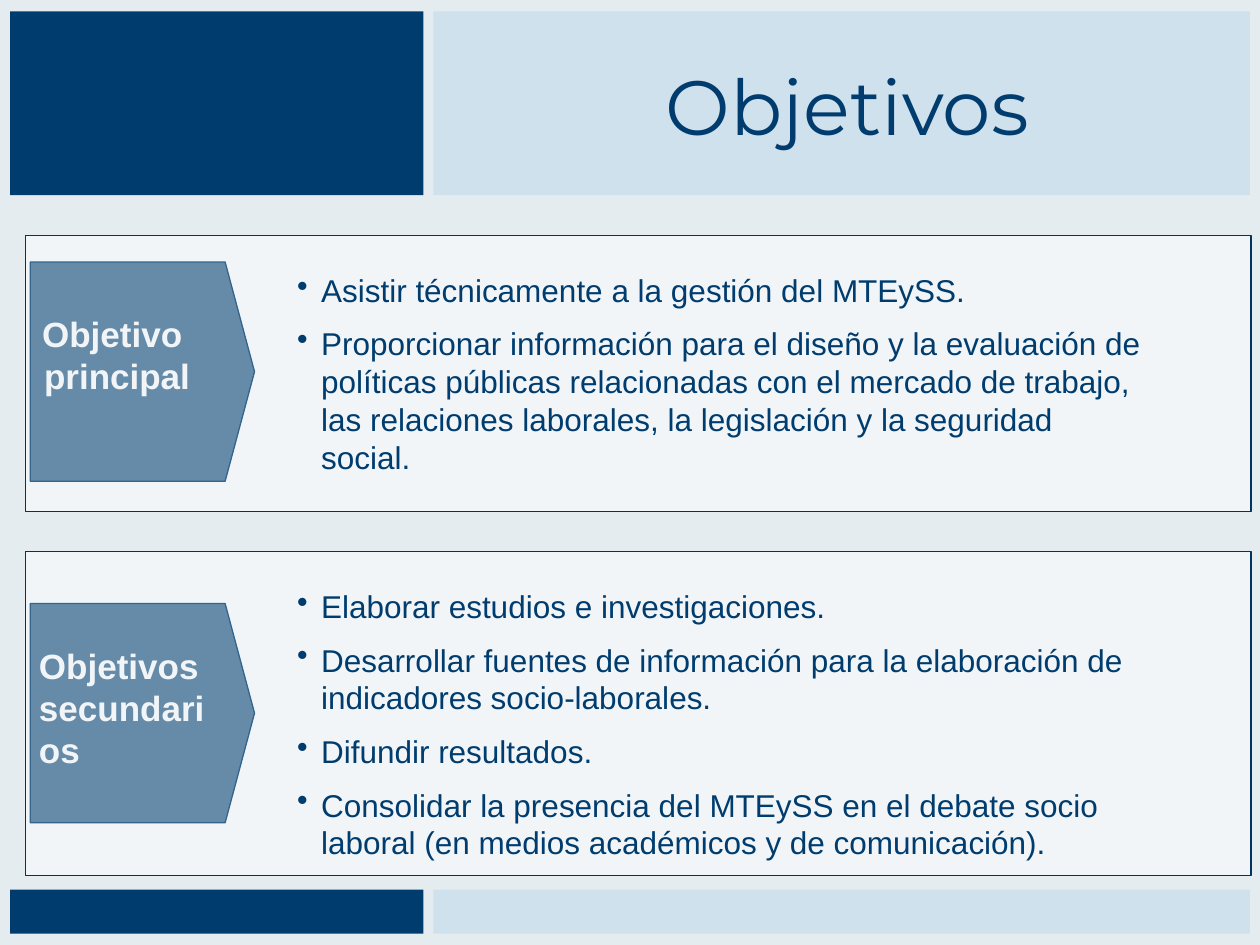
from dataclasses import dataclass

from lxml import etree
from pptx import Presentation
from pptx.dml.color import RGBColor
from pptx.enum.shapes import MSO_SHAPE
from pptx.enum.text import MSO_ANCHOR, MSO_AUTO_SIZE, PP_ALIGN
from pptx.oxml.ns import qn
from pptx.util import Inches, Pt

RECT = MSO_SHAPE.RECTANGLE
ARROW = MSO_SHAPE.PENTAGON
MIDDLE = MSO_ANCHOR.MIDDLE
GROW = MSO_AUTO_SIZE.SHAPE_TO_FIT_TEXT
LEFT, CENTER = PP_ALIGN.LEFT, PP_ALIGN.CENTER


@dataclass(frozen=True)
class Theme:
    back: str = "E5ECF0"
    navy: str = "003D6E"
    sky: str = "D0E1EE"
    panel: str = "F2F5F8"
    edge: str = "00335D"
    steel: str = "668BA8"
    rim: str = "33648B"
    head: str = "Montserrat"
    body: str = "Arial"
    title: int = 44
    label: int = 20
    item: int = 18


THEME = Theme()


def color(code):
    return RGBColor.from_string(code)


def draw(slide, kind, box, fill, line=None):
    shape = slide.shapes.add_shape(kind, *map(Inches, box))
    shape.shadow.inherit = False
    shape.fill.solid()
    shape.fill.fore_color.rgb = color(fill)
    if line:
        shape.line.color.rgb = color(line)
        shape.line.width = Pt(0.75)
    else:
        shape.line.fill.background()
    return shape


def write(slide, box, lines, font, size, ink, align=LEFT, bold=False):
    frame = slide.shapes.add_textbox(*map(Inches, box)).text_frame
    for i, line in enumerate(lines):
        para = frame.paragraphs[0] if i == 0 else frame.add_paragraph()
        para.alignment = align
        run = para.add_run()
        run.text = line
        run.font.name = font
        run.font.size = Pt(size)
        run.font.bold = bold
        run.font.color.rgb = color(ink)
    return frame


def band(slide, box):
    left, top, width, height = box
    split, gap = 3.28, 0.08
    draw(slide, RECT, (left, top, split, height), THEME.navy)
    start = split + gap
    draw(slide, RECT, (left + start, top, width - start, height), THEME.sky)


def title(slide, box, text):
    frame = write(slide, box, [text], THEME.head, THEME.title, THEME.navy, CENTER)
    frame.word_wrap = True
    frame.vertical_anchor = MIDDLE


def label(slide, box, lines, align):
    frame = write(slide, box, lines, THEME.body, THEME.label, THEME.panel, align, True)
    frame.word_wrap = False
    frame.vertical_anchor = MIDDLE
    frame.margin_left = frame.margin_right = 0
    frame.margin_top = frame.margin_bottom = 0


def bullets(slide, box, items):
    frame = write(slide, box, items, THEME.body, THEME.item, THEME.navy)
    frame.word_wrap = True
    frame.auto_size = GROW
    for i, para in enumerate(frame.paragraphs):
        para.space_before = Pt(THEME.item / 2 if i else 0)
        props = para._p.get_or_add_pPr()
        props.set("marL", str(Inches(0.19)))
        props.set("indent", str(Inches(-0.19)))
        etree.SubElement(props, qn("a:buChar")).set("char", "•")


def panel(slide, box, drop, shift, names, align, size, items):
    left, top, width, height = box
    draw(slide, RECT, box, THEME.panel, THEME.edge)
    arrow = draw(slide, ARROW, (left + 0.04, top + drop, 1.78, 1.74),
                 THEME.steel, THEME.rim)
    arrow.adjustments[0] = 0.134
    dx, dy = shift
    label(slide, (left + dx, top + dy, 1.46, 0.77), names, align)
    bullets(slide, (left + 2.06, top + 0.23, *size), items)


def main():
    deck = Presentation()
    deck.slide_width, deck.slide_height = Inches(10), Inches(7.5)
    slide = deck.slides.add_slide(deck.slide_layouts[6])
    slide.background.fill.solid()
    slide.background.fill.fore_color.rgb = color(THEME.back)
    band(slide, (0.08, 0.09, 9.84, 1.46))
    band(slide, (0.08, 7.06, 9.84, 0.35))
    title(slide, (3.75, 0.17, 5.95, 1.32), "Objetivos")
    panel(slide, (0.2, 1.87, 9.73, 2.19), 0.21, (0, 0.56),
          ["Objetivo ", "principal"], CENTER, (6.91, 1.87), [
              "Asistir técnicamente a la gestión del MTEySS.",
              "Proporcionar información para el diseño y la evaluación de "
              "políticas públicas relacionadas con el mercado de trabajo, "
              "las relaciones laborales, la legislación y la seguridad social.",
          ])
    panel(slide, (0.2, 4.38, 9.73, 2.57), 0.41, (0.11, 0.85),
          ["Objetivos", "secundarios"], LEFT, (7.24, 2.37), [
              "Elaborar estudios e investigaciones.",
              "Desarrollar fuentes de información para la elaboración de "
              "indicadores socio-laborales.",
              "Difundir resultados.",
              "Consolidar la presencia del MTEySS en el debate socio laboral "
              "(en medios académicos y de comunicación).",
          ])
    deck.save("out.pptx")


if __name__ == "__main__":
    main()
